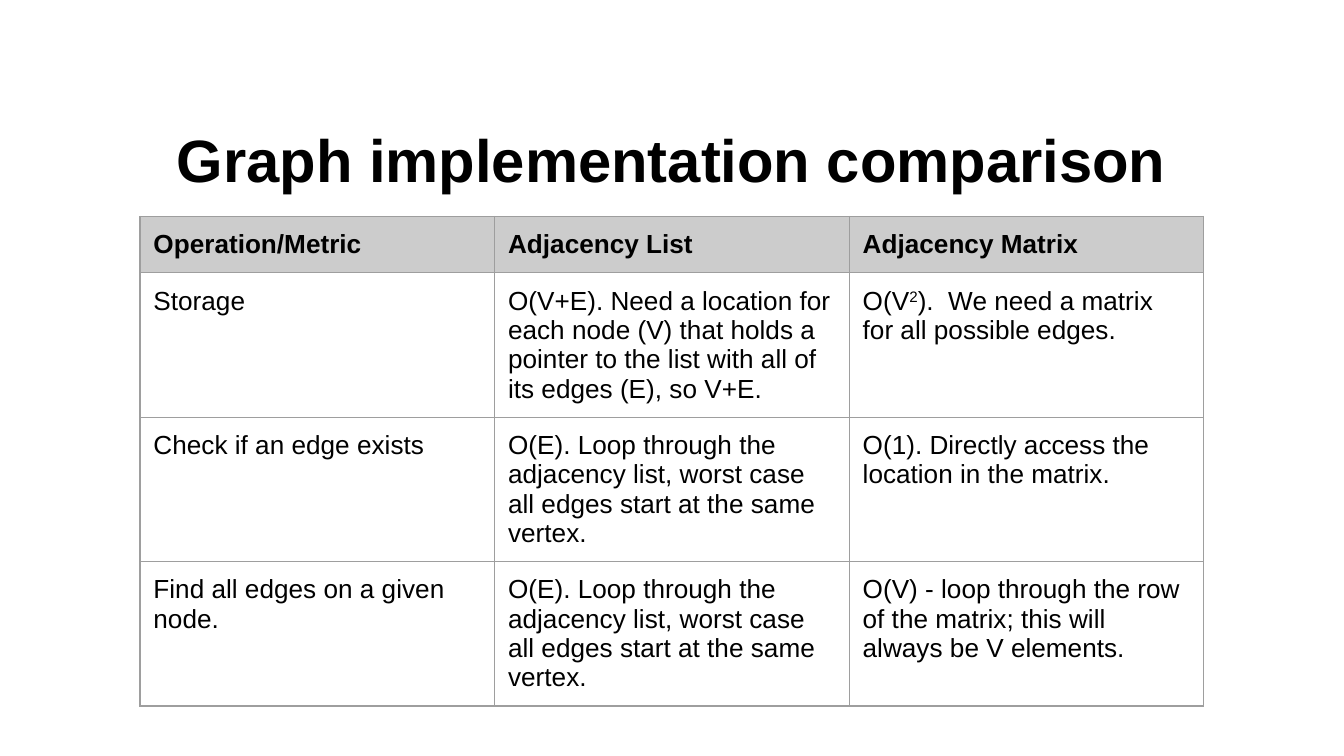
from lxml import etree
from pptx import Presentation
from pptx.dml.color import RGBColor
from pptx.enum import text
from pptx.oxml import ns
from pptx.util import Pt

BLACK = RGBColor(0x00, 0x00, 0x00)
HEADER_GREY = RGBColor(0xCC, 0xCC, 0xCC)
BORDER_GREY = RGBColor(0x9E, 0x9E, 0x9E)
FONT = "Arial"
PADDING = 7.2

LIST_SCAN = ("O(E). Loop through the adjacency list, worst case all edges "
             "start at the same vertex.")
# A tuple holds the runs of a cell; every second run is superscript.
COMPARISON = [
    ["Operation/Metric", "Adjacency List", "Adjacency Matrix"],
    ["Storage",
     "O(V+E). Need a location for each node (V) that holds a pointer to the "
     "list with all of its edges (E), so V+E.",
     ("O(V", "2", ").  We need a matrix for all possible edges.")],
    ["Check if an edge exists", LIST_SCAN,
     "O(1). Directly access the location in the matrix."],
    ["Find all edges on a given node.", LIST_SCAN,
     "O(V) - loop through the row of the matrix; this will always be V elements."],
]


def add_span(para, words, size, bold=False, superscript=False):
    span = para.add_run()
    span.text = words
    span.font.name = FONT
    span.font.size = Pt(size)
    span.font.bold = bold
    span.font.color.rgb = BLACK
    if superscript:
        span._r.get_or_add_rPr().set("baseline", "30000")


def set_margins(area):
    area.margin_left = area.margin_right = Pt(PADDING)
    area.margin_top = area.margin_bottom = Pt(PADDING)


def add_borders(cell):
    """Draw the four sides; they must come before the fill in the cell's XML."""
    properties = cell._tc.get_or_add_tcPr()
    for position, side in enumerate(("lnL", "lnR", "lnT", "lnB")):
        line = etree.Element(ns.qn(f"a:{side}"), w=str(Pt(0.75)))
        fill = etree.SubElement(line, ns.qn("a:solidFill"))
        etree.SubElement(fill, ns.qn("a:srgbClr"), val=str(BORDER_GREY))
        properties.insert(position, line)


def place_title(page, left, top, width, height):
    title = page.shapes.title
    title.left, title.top = Pt(left), Pt(top)
    title.width, title.height = Pt(width), Pt(height)
    frame = title.text_frame
    frame.word_wrap = True
    frame.vertical_anchor = text.MSO_ANCHOR.MIDDLE
    set_margins(frame)
    para = frame.paragraphs[0]
    para.alignment = text.PP_ALIGN.CENTER
    add_span(para, "Graph implementation comparison", 32, bold=True)


def fill_cell(cell, content, header):
    set_margins(cell)
    if header:
        cell.fill.solid()
        cell.fill.fore_color.rgb = HEADER_GREY
    else:
        cell.fill.background()
    add_borders(cell)
    spans = content if isinstance(content, tuple) else (content,)
    for index, words in enumerate(spans):
        add_span(cell.text_frame.paragraphs[0], words, 14, bold=header,
                 superscript=index % 2 == 1)


def place_comparison(page, left, top, width, row_height):
    row_count, column_count = len(COMPARISON), len(COMPARISON[0])
    table = page.shapes.add_table(
        row_count, column_count, Pt(left), Pt(top), Pt(width),
        Pt(row_height * row_count)).table
    for row, contents in enumerate(COMPARISON):
        for column, content in enumerate(contents):
            fill_cell(table.cell(row, column), content, header=row == 0)


def main():
    deck = Presentation()
    deck.slide_width, deck.slide_height = Pt(720), Pt(405)
    page = deck.slides.add_slide(deck.slide_layouts[5])
    place_title(page, 36, 53.5, 648, 63)
    place_comparison(page, 75, 116, 570, 30)
    deck.save("out.pptx")


if __name__ == "__main__":
    main()
